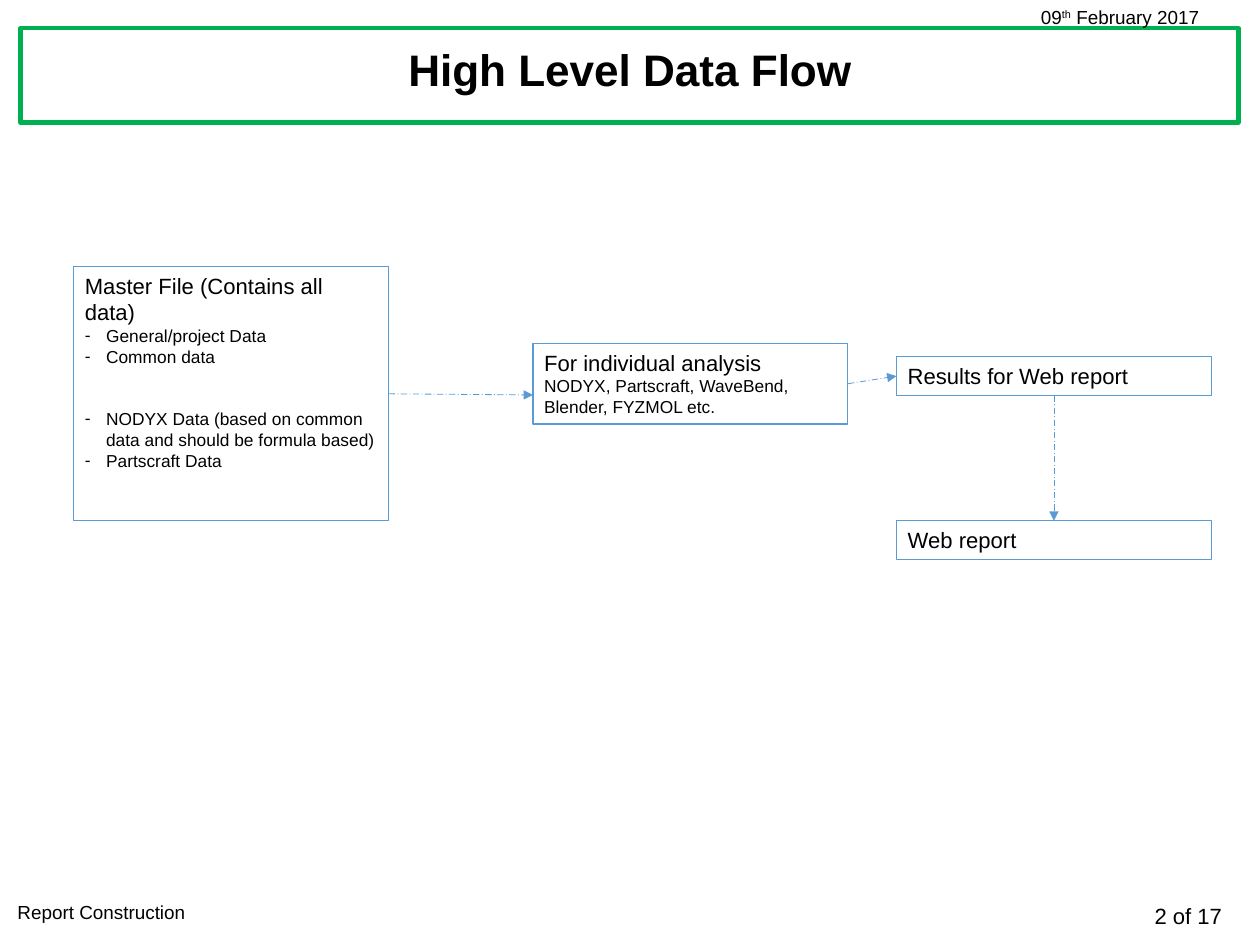
import pptx
import pptx.util
import pptx.dml.color
import pptx.enum.dml
import pptx.enum.shapes
import pptx.enum.text
import pptx.oxml.ns
import lxml.etree

Pt = pptx.util.Pt
ALIGN = pptx.enum.text.PP_ALIGN
ANCHOR = pptx.enum.text.MSO_ANCHOR
qn = pptx.oxml.ns.qn

COLORS = {"text": "000000", "frame": "00B050", "flow": "5B9BD5", "paper": "FFFFFF"}
FONT = "Arial"
BOX_W = 200
BULLET_INDENT = 13.5
GROUP_GAP = 26.5


def rgb(name):
    """Return the named colour."""
    return pptx.dml.color.RGBColor.from_string(COLORS[name])


def add_run(p, text, size, bold=False):
    """Append a run of text to a paragraph."""
    r = p.add_run()
    r.text = text
    r.font.name = FONT
    r.font.size = Pt(size)
    r.font.bold = bold
    r.font.color.rgb = rgb("text")
    return r


def add_dash(p):
    """Give a paragraph a hanging dash bullet."""
    pPr = p._p.get_or_add_pPr()
    pPr.set("marL", str(Pt(BULLET_INDENT)))
    pPr.set("indent", str(-Pt(BULLET_INDENT)))
    lxml.etree.SubElement(pPr, qn("a:buFont"), typeface=FONT)
    lxml.etree.SubElement(pPr, qn("a:buChar"), char="-")


def add_label(s, x, y, w, h, align=ALIGN.LEFT, anchor=ANCHOR.TOP):
    """Place a wrapping text box and return its first paragraph."""
    tf = s.shapes.add_textbox(Pt(x), Pt(y), Pt(w), Pt(h)).text_frame
    tf.word_wrap = True
    tf.vertical_anchor = anchor
    p = tf.paragraphs[0]
    p.alignment = align
    return p


def add_box(s, x, y, w, h, line, width):
    """Place an unfilled outlined rectangle."""
    sp = s.shapes.add_shape(pptx.enum.shapes.MSO_SHAPE.RECTANGLE, Pt(x), Pt(y), Pt(w), Pt(h))
    sp.shadow.inherit = False
    sp.fill.background()
    sp.line.color.rgb = rgb(line)
    sp.line.width = Pt(width)
    return sp


def add_header(s, x, y, w, h):
    """Draw the framed title with the date above its right end."""
    frame = add_box(s, x, y, w, h, "frame", 2.75)
    frame.fill.solid()
    frame.fill.fore_color.rgb = rgb("paper")
    p = add_label(s, x + 1.2, y - 1.4, w - 2, h - 0.8, ALIGN.CENTER, ANCHOR.MIDDLE)
    p.line_spacing = 0.9
    add_run(p, "High Level Data Flow", 28, True)
    p = add_label(s, x + w - 132.5, y - 18, 133.2, 21.6)
    add_run(p, "09", 12)
    add_run(p, "th", 12).font._element.set("baseline", "30000")
    add_run(p, " February 2017", 12)


def add_footer(s, x, y, w, h):
    """Write the report name at the left and the page count at the right."""
    add_run(add_label(s, x, y, 303, h), "Report Construction", 12)
    add_run(add_label(s, x + w - 110, y + 1.4, 110, h + 2.8, ALIGN.RIGHT), "2 of 17", 14)


def add_step(s, x, y, h, heading, details=(), groups=()):
    """Draw a flow step with a heading, plain details and groups of dashed items."""
    sp = add_box(s, x, y, BOX_W, h, "flow", 0.75)
    tf = sp.text_frame
    tf.word_wrap = True
    tf.vertical_anchor = ANCHOR.TOP
    p = tf.paragraphs[0]
    p.alignment = ALIGN.LEFT
    add_run(p, heading, 14)
    for text in details:
        p = tf.add_paragraph()
        p.alignment = ALIGN.LEFT
        add_run(p, text, 11)
    for g, group in enumerate(groups):
        for i, text in enumerate(group):
            p = tf.add_paragraph()
            p.alignment = ALIGN.LEFT
            if g and not i:
                p.space_before = Pt(GROUP_GAP)
            add_dash(p)
            add_run(p, text, 11)
    return sp


def add_arrow(s, start, start_side, end, end_side=None, end_y=0):
    """Join two steps, ending at a side's middle or at a height on the left side."""
    cn = s.shapes.add_connector(
        pptx.enum.shapes.MSO_CONNECTOR.STRAIGHT, 0, 0, end.left, Pt(end_y))
    cn.begin_connect(start, start_side)
    if end_side is not None:
        cn.end_connect(end, end_side)
    cn.line.color.rgb = rgb("flow")
    cn.line.width = Pt(0.5)
    cn.line.dash_style = pptx.enum.dml.MSO_LINE.LONG_DASH_DOT
    lxml.etree.SubElement(cn.line._get_or_add_ln(), qn("a:tailEnd"), type="triangle")
    lxml.etree.SubElement(cn._element.spPr, qn("a:effectLst"))


def add_flow(s, x, y):
    """Draw the data flow from the master file to the web report."""
    master = add_step(
        s, x, y, 161.3, "Master File (Contains all data)",
        groups=[["General/project Data", "Common data"],
                ["NODYX Data (based on common data and should be formula based)",
                 "Partscraft Data"]])
    analysis = add_step(
        s, x + 291.6, y + 48.7, 51.1, "For individual analysis",
        details=["NODYX, Partscraft, WaveBend, Blender, FYZMOL etc."])
    results = add_step(s, x + 522.4, y + 57, 24.8, "Results for Web report")
    report = add_step(s, x + 522.4, y + 161.3, 24.8, "Web report")
    add_arrow(s, master, 3, analysis, end_y=y + 81.4)
    add_arrow(s, analysis, 3, results, 1)
    add_arrow(s, results, 2, report, 0)


def main():
    """Build the slide and save it."""
    prs = pptx.Presentation()
    prs.slide_width, prs.slide_height = Pt(800), Pt(600)
    s = prs.slides.add_slide(prs.slide_layouts[6])
    add_header(s, 13, 18, 773.3, 59.8)
    add_footer(s, 4, 568, 779, 21.6)
    add_flow(s, 46.8, 169.4)
    prs.save("out.pptx")


if __name__ == "__main__":
    main()
